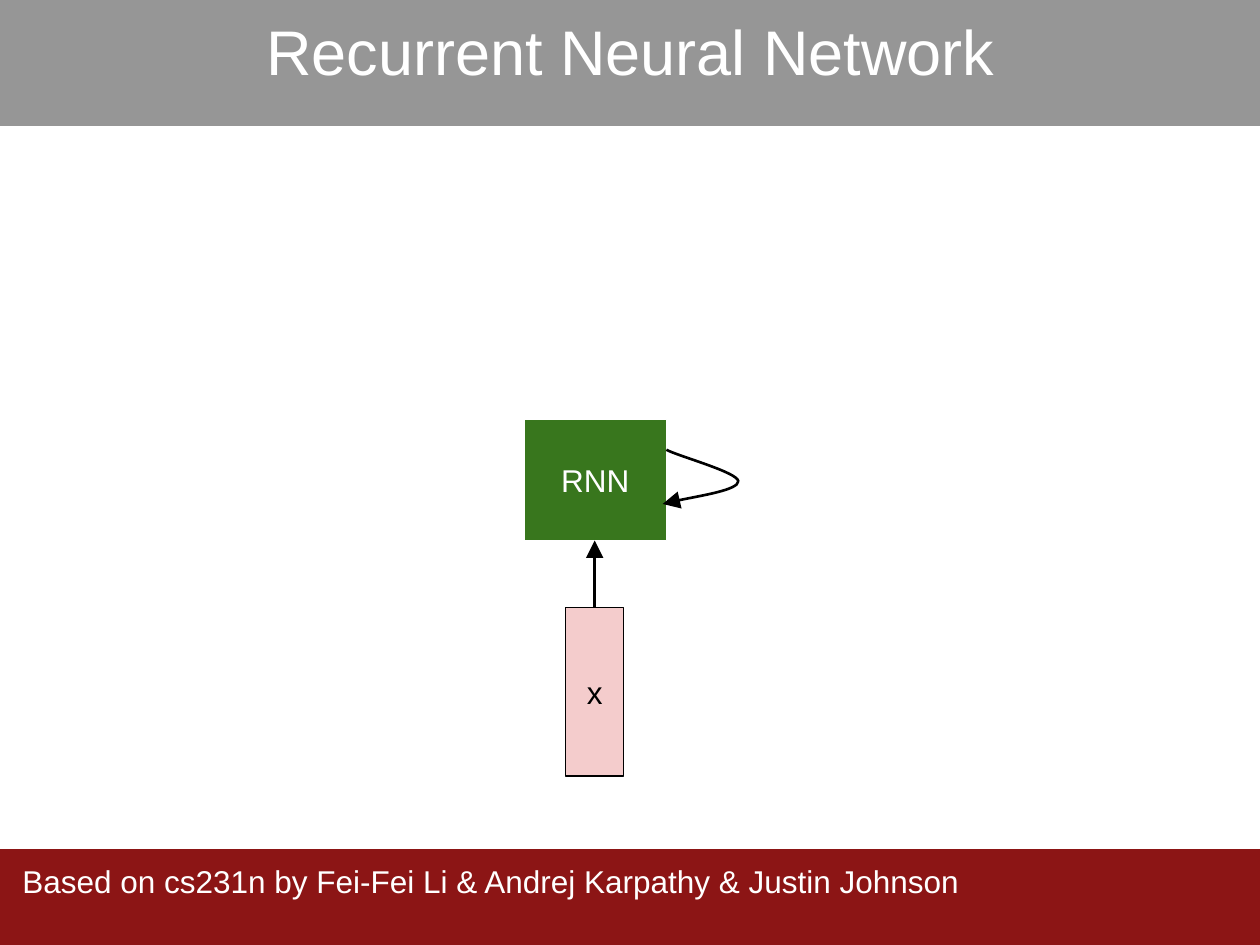
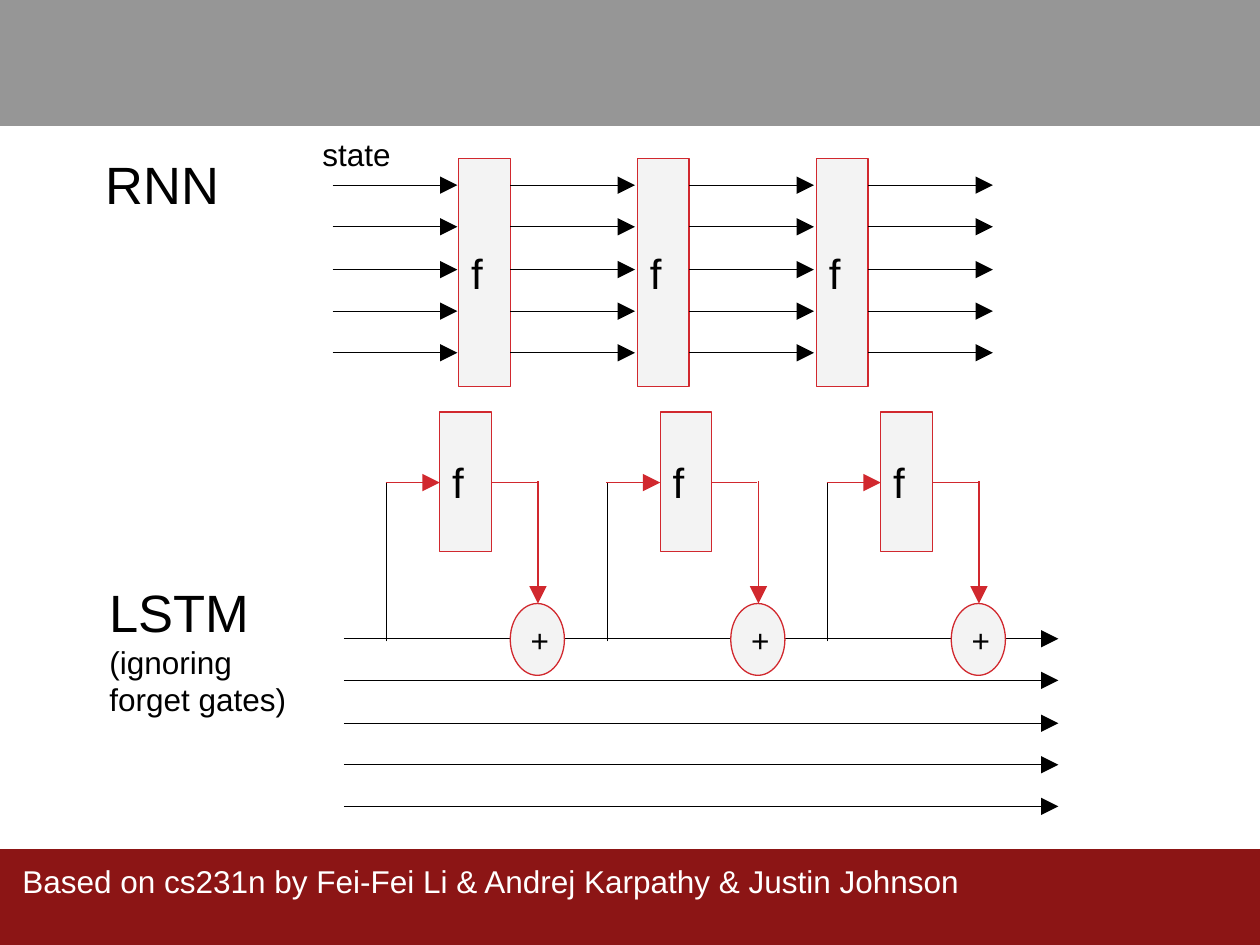
from pptx import Presentation
from pptx.dml.color import RGBColor
from pptx.enum.shapes import MSO_CONNECTOR, MSO_SHAPE
from pptx.enum.text import MSO_ANCHOR, PP_ALIGN
from pptx.oxml.ns import qn
from pptx.util import Inches, Pt
from lxml import etree

RECTANGLE, OVAL = MSO_SHAPE.RECTANGLE, MSO_SHAPE.OVAL
STRAIGHT = MSO_CONNECTOR.STRAIGHT
TOP, MIDDLE = MSO_ANCHOR.TOP, MSO_ANCHOR.MIDDLE
LEFT, CENTER = PP_ALIGN.LEFT, PP_ALIGN.CENTER

PX = Inches(1) // 100
COLORS = {
    "band": "969696",
    "footer": "8C1515",
    "white": "FFFFFF",
    "black": "000000",
    "input": "F4CCCC",
    "network": "38761D",
    "cell": "F3F3F3",
    "red": "D1282E",
}
FOOTER = "Based on cs231n by Fei-Fei Li & Andrej Karpathy & Justin Johnson"
ROW_COUNT = 5
ROW_GAP = 100 / 3


class Deck:
    """Draws styled elements on the current slide, with lengths in px."""

    def __init__(self):
        self.presentation = Presentation()
        self.presentation.slide_width = 1000 * PX
        self.presentation.slide_height = 750 * PX
        self.slide = None

    def color(self, name):
        return RGBColor.from_string(COLORS[name])

    def add_slide(self, title=None):
        self.slide = self.presentation.slides.add_slide(self.presentation.slide_layouts[6])
        self.block((0, 0, 1000, 100), "band")
        self.block((0, 674, 1000, 77), "footer")
        self.text((8, 674, 992, 79), [(FOOTER, 18)], "white")
        if title:
            self.text((102, 0, 797, 64), [(title, 36)], "white", CENTER)

    def fill_text(self, shape, lines, color, align, anchor):
        frame = shape.text_frame
        frame_format = {"word_wrap": True, "vertical_anchor": anchor}
        for side in ("left", "right", "top", "bottom"):
            frame_format[f"margin_{side}"] = 10 * PX
        for name, value in frame_format.items():
            setattr(frame, name, value)
        for index, (words, size) in enumerate(lines):
            paragraph = frame.add_paragraph() if index else frame.paragraphs[0]
            paragraph.alignment = align
            run = paragraph.add_run()
            run.text = words
            for name, value in {"name": "Arial", "size": Pt(size)}.items():
                setattr(run.font, name, value)
            run.font.color.rgb = self.color(color)

    def text(self, box, lines, color="black", align=LEFT):
        shape = self.slide.shapes.add_textbox(*(length * PX for length in box))
        self.fill_text(shape, lines, color, align, TOP)

    def block(self, box, fill, line=None, label=None, size=18,
              color="black", align=CENTER, kind=RECTANGLE):
        shape = self.slide.shapes.add_shape(kind, *(length * PX for length in box))
        shape.shadow.inherit = False
        shape.fill.solid()
        shape.fill.fore_color.rgb = self.color(fill)
        if line:
            self.stroke(shape, line, 0.75)
        else:
            shape.line.fill.background()
        if label:
            self.fill_text(shape, [(label, size)], color, align, MIDDLE)

    def stroke(self, shape, color, width, arrow=False):
        shape.line.color.rgb = self.color(color)
        shape.line.width = Pt(width)
        if arrow:
            outline = shape.element.spPr.find(qn("a:ln"))
            etree.SubElement(outline, qn("a:tailEnd"), type="triangle", w="lg", len="lg")

    def line(self, start, end, color="black", width=0.75, arrow=True):
        points = (length * PX for length in start + end)
        connector = self.slide.shapes.add_connector(STRAIGHT, *points)
        self.stroke(connector, color, width, arrow)
        etree.SubElement(connector.element.spPr, qn("a:effectLst"))

    def curve(self, start, points, width):
        builder = self.slide.shapes.build_freeform(*start, scale=PX)
        builder.add_line_segments(points, close=False)
        shape = builder.convert_to_shape()
        shape.shadow.inherit = False
        shape.fill.background()
        self.stroke(shape, "black", width, True)
        segments = shape.element.xpath(".//a:lnTo")
        outline = segments[0].getparent()
        for first in range(0, len(segments), 3):
            bezier = etree.SubElement(outline, qn("a:cubicBezTo"))
            for segment in segments[first:first + 3]:
                bezier.append(segment[0])
                outline.remove(segment)

    def arrow_rows(self, left, right, top):
        for row in range(ROW_COUNT):
            y = round(top + row * ROW_GAP)
            self.line((left, y), (right, y))

    def function(self, left, top, height):
        self.block((left, top, 41, height), "cell", "red", "f", 24, align=LEFT)


def draw_recurrent_network(deck):
    deck.add_slide("Recurrent Neural Network")
    deck.block((449, 482, 46, 134), "input", "black", "x")
    deck.block((416, 333, 113, 96), "network", "white", "RNN", color="white")
    deck.line((472, 482), (472, 429), width=1.5)
    deck.curve((529, 357), [(538, 362), (586, 375), (586, 382),
                            (586, 389), (536, 397), (526, 400)], 1.5)


def draw_rnn_steps(deck):
    for step in range(4):
        left = 264 + step * 142 - (step > 0)
        deck.arrow_rows(left, left + 99, 147)
        if step < 3:
            deck.function(364 + step * 142, 126, 181)
    deck.text((74, 111, 155, 90), [("RNN", 30)])
    deck.text((246, 97, 228, 51), [("state", 18)])


def draw_lstm_steps(deck):
    deck.arrow_rows(273, 840, 507)
    for left in range(349, 700, 175):
        deck.function(left, 327, 111)
        deck.line((left - 42, 509), (left - 42, 383), arrow=False)
        deck.line((left - 43, 383), (left, 383), "red")
        deck.line((left + 41, 383), (left + 77, 383), "red", arrow=False)
        deck.block((left + 56, 479, 43, 57), "cell", "red", "+", kind=OVAL)
        deck.line((left + 78, 382), (left + 78, 479), "red")
    deck.text((77, 450, 170, 90), [("LSTM", 30), ("(ignoring forget gates)", 18)])


def main():
    deck = Deck()
    draw_recurrent_network(deck)
    deck.add_slide()
    draw_rnn_steps(deck)
    draw_lstm_steps(deck)
    deck.presentation.save("out.pptx")


if __name__ == "__main__":
    main()
